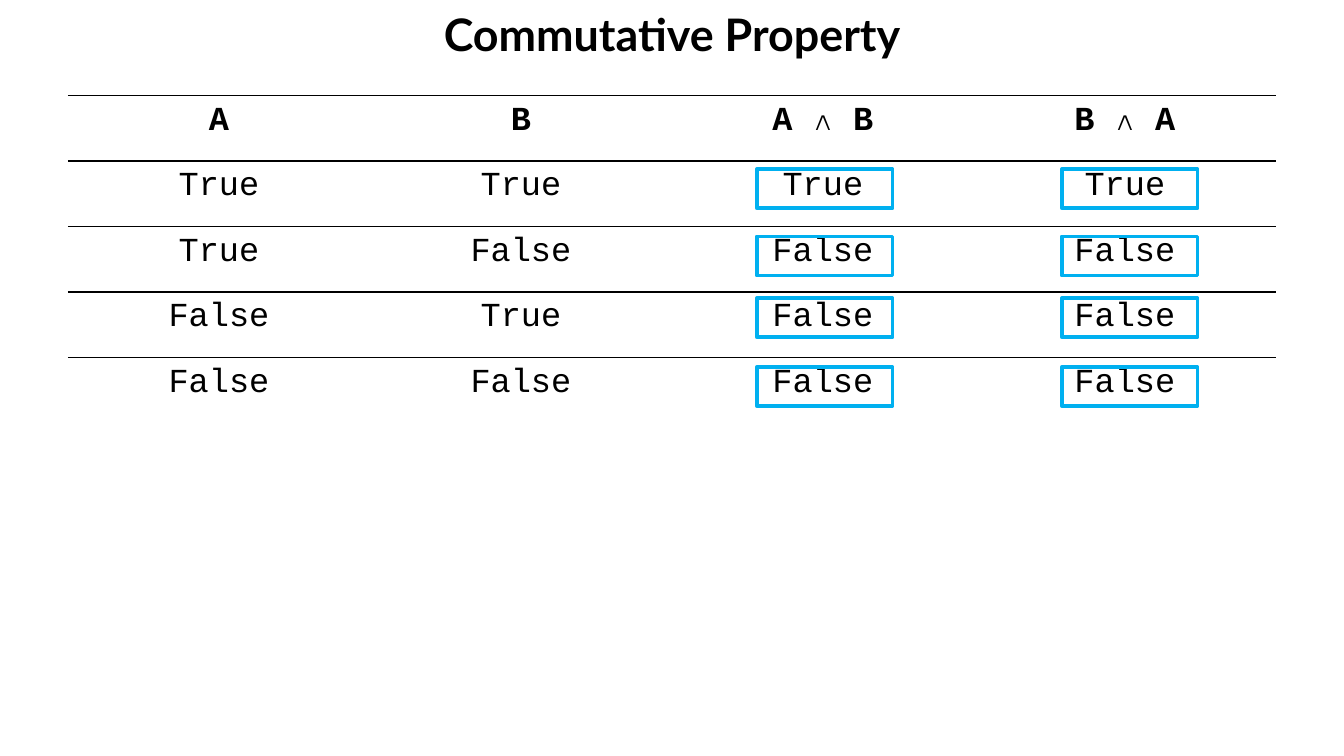
from itertools import product

from lxml.etree import SubElement
from pptx import Presentation
from pptx.dml.color import RGBColor
from pptx.enum.shapes import MSO_SHAPE as Shape
from pptx.enum.text import MSO_ANCHOR as Anchor, MSO_AUTO_SIZE as AutoSize, PP_ALIGN as Align
from pptx.oxml import parse_xml
from pptx.oxml.ns import nsdecls, qn
from pptx.util import Pt

COLORS = {"ink": "000000", "highlight": "00B0F0"}
HEADERS = ["A", "B", "A ∧ B", "B ∧ A"]
TRUTH = list(product([True, False], repeat=2))
ROWS = [[str(value) for value in (a, b, a and b, b and a)] for a, b in TRUTH]
HIGHLIGHT_LEFTS = [405.4, 568.8]
HIGHLIGHT_TOPS = [90.7, 126.7, 159.8, 196.6]


class SlideBuilder:
    title_font = "Lato"
    code_font = "Courier New"

    def __init__(self, deck):
        self.page = deck.slides.add_slide(deck.slide_layouts[5])

    def color(self, name):
        return RGBColor.from_string(COLORS[name])

    def add_text(self, frame, text, font, size, bold):
        para = frame.paragraphs[0]
        para.alignment = Align.CENTER
        span = para.add_run()
        span.text = text
        span.font.name = font
        span.font.size = Pt(size)
        span.font.bold = bold
        span.font.color.rgb = self.color("ink")

    def title(self, text, left, top, width, height):
        box = self.page.shapes.title
        box.left, box.top, box.width, box.height = Pt(left), Pt(top), Pt(width), Pt(height)
        frame = box.text_frame
        frame.margin_left = frame.margin_right = 0
        frame.margin_top = frame.margin_bottom = Pt(3.6)
        frame.vertical_anchor = Anchor.TOP
        frame.auto_size = AutoSize.NONE
        frame.word_wrap = True
        self.add_text(frame, text, self.title_font, 24, True)

    def border(self, cell, ruled_sides):
        properties = cell._tc.get_or_add_tcPr()
        for index, side in enumerate("LRTB"):
            line = parse_xml(f'<a:ln{side} {nsdecls("a")} w="{Pt(1)}"/>')
            if side in ruled_sides:
                fill = SubElement(line, qn("a:solidFill"))
                SubElement(fill, qn("a:srgbClr"), val=COLORS["ink"])
            else:
                SubElement(line, qn("a:noFill"))
            properties.insert(index, line)

    def table(self, rows, left, top, width, row_height):
        frame = self.page.shapes.add_table(
            len(rows), len(rows[0]), Pt(left), Pt(top), Pt(width), Pt(row_height * len(rows)))
        table = frame.table
        table.first_row = table.horz_banding = False
        for row_index, values in enumerate(rows):
            is_last = row_index == len(rows) - 1
            for column_index, value in enumerate(values):
                cell = table.cell(row_index, column_index)
                cell.fill.background()
                self.border(cell, "T" if is_last else "TB")
                self.add_text(cell.text_frame, value, self.code_font, 18, row_index == 0)

    def highlight(self, left, top, width, height):
        box = self.page.shapes.add_shape(
            Shape.RECTANGLE, Pt(left), Pt(top), Pt(width), Pt(height))
        box.shadow.inherit = False
        box.fill.background()
        box.line.color.rgb = self.color("highlight")
        box.line.width = Pt(2)


def main():
    deck = Presentation()
    deck.slide_width, deck.slide_height = Pt(720), Pt(405)
    slide = SlideBuilder(deck)
    slide.title("Commutative Property", 0, 0, 720, 42.5)
    slide.table([HEADERS] + ROWS, 36.4, 51.2, 647.2, 35.1)
    for left, top in product(HIGHLIGHT_LEFTS, HIGHLIGHT_TOPS):
        slide.highlight(left, top, 72.7, 20.9)
    deck.save("out.pptx")


if __name__ == "__main__":
    main()
